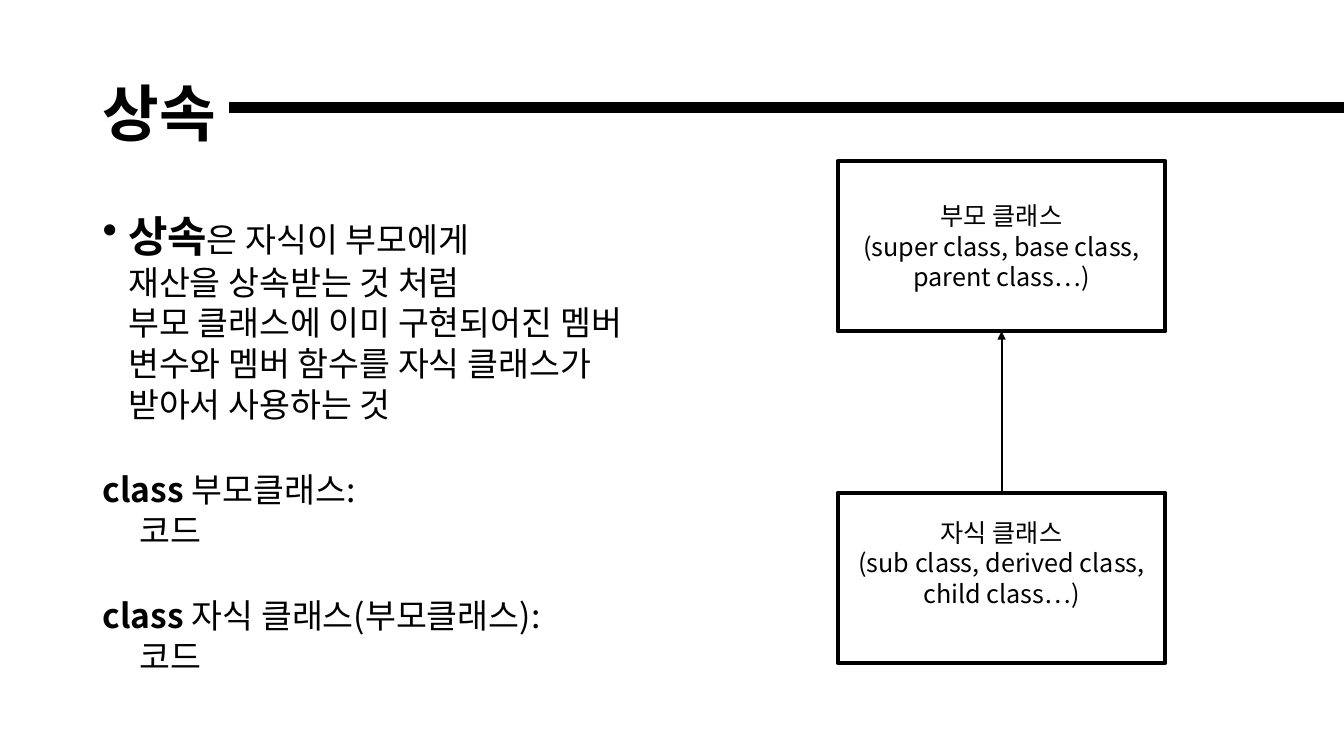
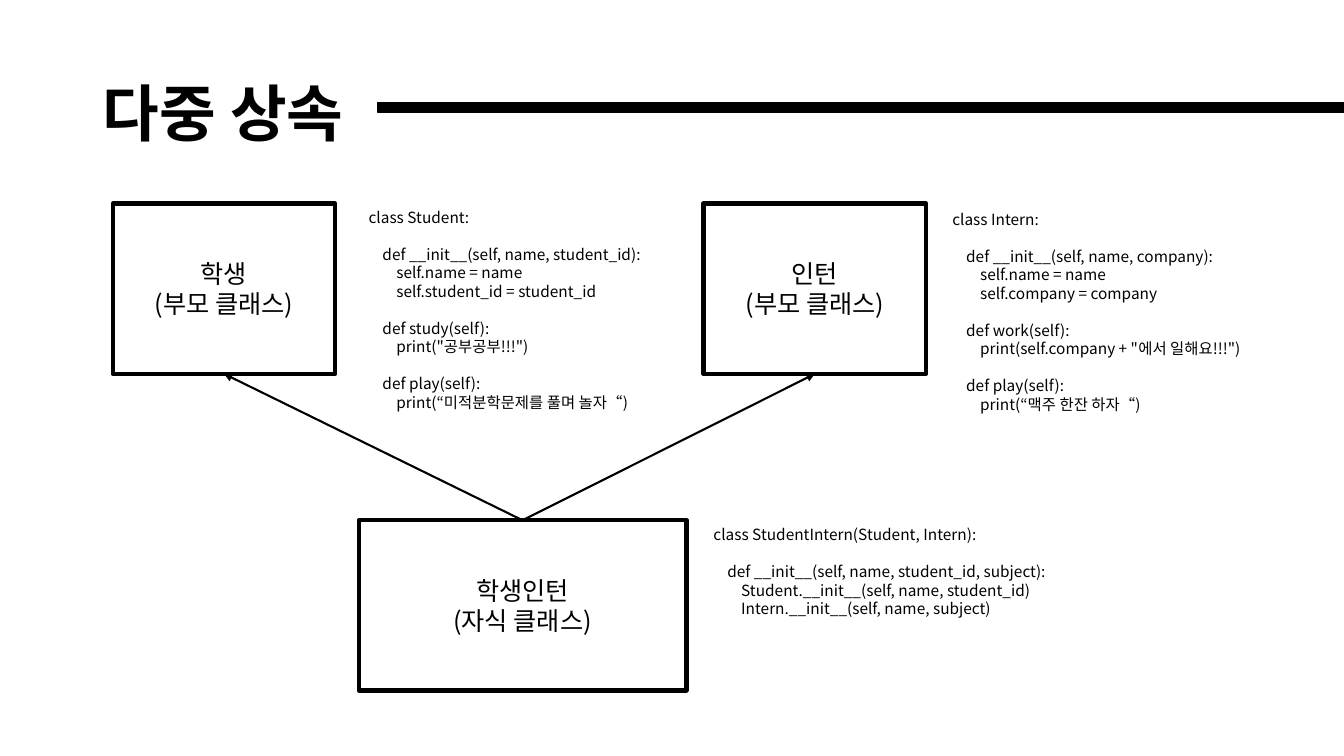
from pptx import Presentation, util as u
from pptx.dml.color import RGBColor
from pptx.enum import shapes, text
from pptx.oxml.ns import qn
from lxml import etree

Cm, Pt = u.Cm, u.Pt
BLACK = RGBColor(0x00, 0x00, 0x00)
FONT = "Noto Sans CJK KR"
SLIDE_W, SLIDE_H = 33.87, 19.05
BOX_W, PARENT_W, BOX_H = 8.26, 5.61, 4.29
TOP, BOTTOM = 0, 2  # connection sites of a rectangle

STUDENT_CODE = """class Student:

    def __init__(self, name, student_id):
        self.name = name
        self.student_id = student_id

    def study(self):
        print("공부공부!!!")

    def play(self):
        print(“미적분학문제를 풀며 놀자“)"""

INTERN_CODE = """class Intern:

    def __init__(self, name, company):
        self.name = name
        self.company = company

    def work(self):
        print(self.company + "에서 일해요!!!")

    def play(self):
        print(“맥주 한잔 하자“)"""

STUDENT_INTERN_CODE = """class StudentIntern(Student, Intern):

    def __init__(self, name, student_id, subject):
        Student.__init__(self, name, student_id)
        Intern.__init__(self, name, subject)"""


def set_all(target, values):
    for name, value in values.items():
        setattr(target, name, value)


class Deck:
    """Holds the shared style and the current slide."""

    def __init__(self):
        self.prs = Presentation()
        set_all(self.prs, {"slide_width": Cm(SLIDE_W), "slide_height": Cm(SLIDE_H)})
        self.slide = None

    def new_slide(self, heading, bar_left):
        self.slide = self.prs.slides.add_slide(self.prs.slide_layouts[5])
        title = self.slide.shapes.title
        set_all(title, {"left": Cm(2.34), "top": Cm(1.02),
                        "width": Cm(29.21), "height": Cm(3.68)})
        set_all(title.text_frame, {"vertical_anchor": text.MSO_ANCHOR.MIDDLE,
                                   "word_wrap": True})
        self.fill_text(title.text_frame.paragraphs[0], [(heading, 44, True)], 50,
                       alignment=text.PP_ALIGN.LEFT)
        bar = self.rectangle(bar_left, 2.59, SLIDE_W - bar_left, 0.25, 1)
        bar.fill.solid()
        bar.fill.fore_color.rgb = BLACK

    def fill_text(self, paragraph, runs, line_height, **layout):
        """Fill a paragraph with (words, size, bold) runs; newlines become breaks."""
        set_all(paragraph, {"line_spacing": Pt(line_height), "space_before": Pt(0),
                            **layout})
        for words, size, bold in runs:
            for i, line in enumerate(words.split("\n")):
                if i:
                    paragraph.add_line_break()
                run = paragraph.add_run()
                run.text = line
                set_all(run.font, {"name": FONT, "size": Pt(size), "bold": bold})
                run.font.color.rgb = BLACK
                etree.SubElement(run.font._element, qn("a:ea"), typeface=FONT)

    def indent(self, paragraph, left, first=0.0, bullet=None):
        props = paragraph._p.get_or_add_pPr()
        props.set("marL", str(Cm(left)))
        props.set("indent", str(Cm(first)))
        if bullet:
            etree.SubElement(props, qn("a:buChar"), char=bullet)

    def rectangle(self, left, top, width, height, line_width):
        shape = self.slide.shapes.add_shape(
            shapes.MSO_SHAPE.RECTANGLE, Cm(left), Cm(top), Cm(width), Cm(height))
        shape.shadow.inherit = False
        shape.line.color.rgb = BLACK
        shape.line.width = Pt(line_width)
        return shape

    def class_box(self, left, top, width, lines, bottom_inset=0.13):
        box = self.rectangle(left, top, width, BOX_H, 3)
        box.fill.background()
        frame = box.text_frame
        set_all(frame, {"word_wrap": True, "margin_bottom": Cm(bottom_inset),
                        "vertical_anchor": text.MSO_ANCHOR.MIDDLE})
        for i, line in enumerate(lines):
            paragraph = frame.add_paragraph() if i else frame.paragraphs[0]
            self.fill_text(paragraph, [(line, 18, False)], 21.6,
                           alignment=text.PP_ALIGN.CENTER)
        return box

    def text_area(self, left, top, width, height):
        area = self.slide.shapes.add_textbox(Cm(left), Cm(top), Cm(width), Cm(height))
        area.text_frame.word_wrap = True
        return area.text_frame

    def code(self, left, top, width, height, source):
        """Blank lines become space before, leading spaces become an indent."""
        frame = self.text_area(left, top, width, height)
        paragraph, gap = frame.paragraphs[0], 0
        for line in source.split("\n"):
            words = line.lstrip()
            if not words:
                gap = 13.2
                continue
            paragraph = paragraph if not paragraph.runs else frame.add_paragraph()
            self.fill_text(paragraph, [(words, 11, False)], 13.2, space_before=Pt(gap))
            self.indent(paragraph, 0.35 * (len(line) - len(words)) / 4)
            gap = 0

    def inherit_arrow(self, child, parent):
        arrow = self.slide.shapes.add_connector(
            shapes.MSO_CONNECTOR.STRAIGHT, 0, 0, 0, 0)
        arrow.begin_connect(child, TOP)
        arrow.end_connect(parent, BOTTOM)
        arrow.line.color.rgb = BLACK
        arrow.line.width = Pt(1.5)
        etree.SubElement(arrow.line._get_or_add_ln(), qn("a:tailEnd"), type="triangle")
        etree.SubElement(arrow._element.spPr, qn("a:effectLst"))


def inheritance(deck):
    deck.new_slide("상속", 5.79)

    # Definition and syntax
    frame = deck.text_area(2.34, 5.44, 15.11, 11.7)
    definition = frame.paragraphs[0]
    deck.fill_text(definition, [
        ("상속", 30.6, True),
        ("은 자식이 부모에게\n재산을 상속받는 것 처럼\n부모 클래스에 이미 구현되어진 멤버 "
         "변수와 멤버 함수를 자식 클래스가 받아서 사용하는 것", 24, False)], 29)
    deck.indent(definition, 0.64, -0.64, "•")
    for declaration in ("부모클래스:", "자식 클래스(부모클래스):"):
        deck.fill_text(frame.add_paragraph(),
                       [("class ", 24, True), (declaration, 24, False)], 29,
                       space_before=Pt(32))
        body = frame.add_paragraph()
        deck.fill_text(body, [("코드", 24, False)], 29)
        deck.indent(body, 0.93)

    # Class diagram
    parent = deck.class_box(21.11, 4.06, BOX_W, [
        "부모 클래스", "(super class, base class, parent class…)"])
    child = deck.class_box(21.11, 12.42, BOX_W, [
        "자식 클래스", "(sub class, derived class, child class…)"], bottom_inset=0.89)
    deck.inherit_arrow(child, parent)


def multiple_inheritance(deck):
    deck.new_slide("다중 상속", 9.53)

    # Class diagram
    child = deck.class_box(9.04, 13.11, BOX_W, ["학생인턴", "(자식 클래스)"])
    for name, left in (("학생", 2.84), ("인턴", 17.73)):
        parent = deck.class_box(left, 5.13, PARENT_W, [name, "(부모 클래스)"])
        deck.inherit_arrow(child, parent)

    # Code of each class
    deck.code(9.04, 5.11, 7.49, 5.89, STUDENT_CODE)
    deck.code(23.75, 5.16, 8.48, 5.44, INTERN_CODE)
    deck.code(17.73, 13.11, 10.82, 2.62, STUDENT_INTERN_CODE)


def main():
    deck = Deck()
    inheritance(deck)
    multiple_inheritance(deck)
    deck.prs.save("out.pptx")


if __name__ == "__main__":
    main()
